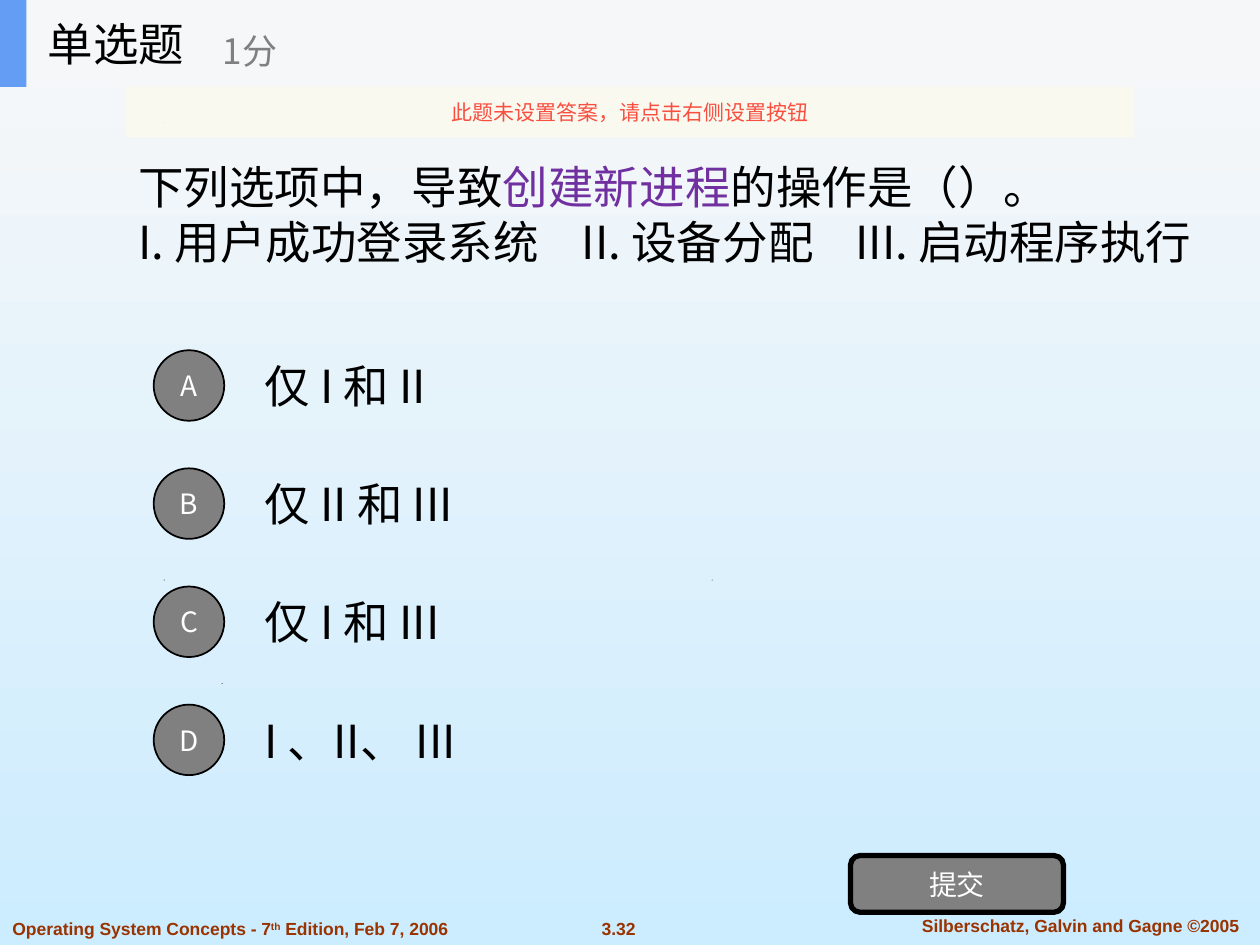
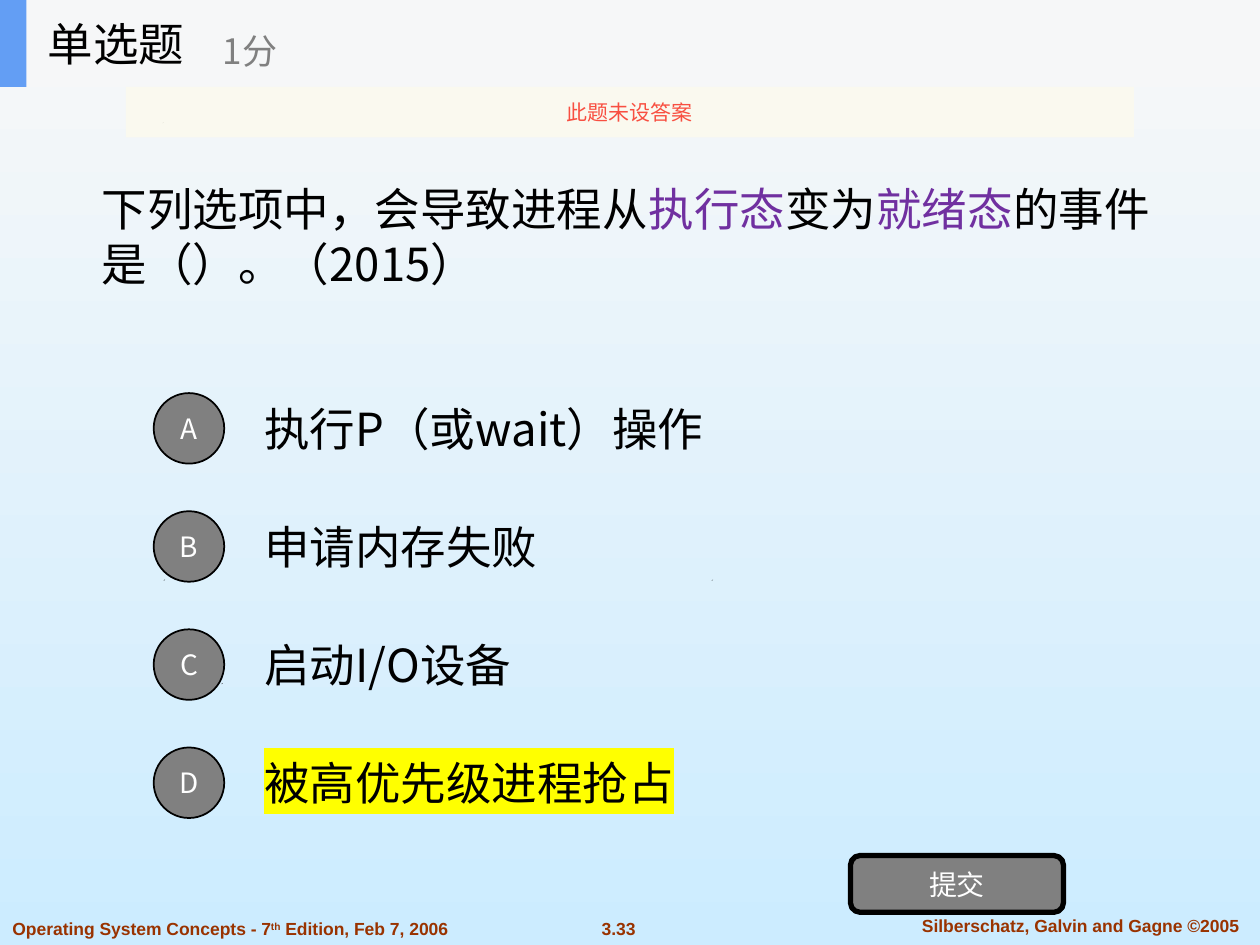
from lxml.etree import SubElement
from pptx import Presentation
from pptx.dml.color import RGBColor
from pptx.enum.shapes import MSO_SHAPE as Shape
from pptx.enum.text import MSO_ANCHOR as Anchor, PP_ALIGN as Align
from pptx.oxml.ns import qn
from pptx.util import Inches, Pt

COLORS = {
    "sky_top": "F8F8F8", "sky_bottom": "CCECFF", "band": "F6F7F8", "accent": "639EF4",
    "notice": "FBFAEF", "warning": "F84F41", "gray": "808080", "ink": "000000",
    "white": "FFFFFF", "key": "7030A0", "footer": "993300", "marker": "FFFF00",
}
CJK, LATIN = "Noto Sans CJK SC", "Arial"
WIDTH, HEIGHT = 10, 7.5
KEY = {"color": "key"}
SUPER = {"baseline": 30}

# A paragraph is a list of (text, format) runs.
QUESTIONS = [
    {
        "page": "3.32",
        "notice": "此题未设置答案，请点击右侧设置按钮",
        "prompt": [
            [("下列选项中，导致", {}), ("创建新进程", KEY), ("的操作是（）。", {})],
            [("I. 用户成功登录系统\tII. 设备分配\tIII. 启动程序执行", {})],
        ],
        "prompt_box": (1, 0.69, 8.58, 2.01),
        "prompt_tabs": (3.52, 5.69),
        "options": ["仅 I 和 II", "仅 II 和 III", "仅 I 和 III", "I 、II、 III"],
        "options_top": 2.71,
        "marked": None,
    },
    {
        "page": "3.33",
        "notice": "此题未设答案",
        "prompt": [
            [("下列选项中，会导致进程从", {}), ("执行态", KEY), ("变为", {}),
             ("就绪态", KEY), ("的事件是（）。（2015）", {})],
        ],
        "prompt_box": (0.71, 0.7, 8.84, 2.34),
        "prompt_tabs": (),
        "options": ["执行P（或wait）操作", "申请内存失败", "启动I/O设备", "被高优先级进程抢占"],
        "options_top": 3.05,
        "marked": "D",
    },
]
EDITION = [[("Operating System Concepts - 7", {}), ("th", SUPER),
            (" Edition, Feb 7, 2006", {})]]
AUTHORS = "Silberschatz, Galvin and Gagne ©2005"
SPECKS = [(1.76, 5.42), (1.3, 4.6), (5.65, 4.6), (1.29, 0.97)]
SPECK_SIZE = 0.01

BAND_HEIGHT = 0.69
OPTION_LEFT, OPTION_WIDTH, OPTION_HEIGHT, OPTION_PITCH = 2, 7, 0.7, HEIGHT / 8
BADGE_LEFT, BADGE_SIZE = 1.22, 0.56
FOOTER = {"font": LATIN, "size": 10, "color": "footer", "bold": True, "anchor": Anchor.TOP}


def rgb(name):
    return RGBColor.from_string(COLORS[name])


def add_run(paragraph, text, font, size, color, bold=False, baseline=0, highlight=None):
    run = paragraph.add_run()
    run.text = text
    run.font.name, run.font.size, run.font.bold = font, Pt(size), bold
    run.font.color.rgb = rgb(color)
    props = run.font._element
    SubElement(props, qn("a:ea")).set("typeface", font)
    if baseline:
        props.set("baseline", str(baseline * 1000))
    if highlight:
        mark = SubElement(props, qn("a:highlight"))
        SubElement(mark, qn("a:srgbClr")).set("val", COLORS[highlight])
        props.find(qn("a:solidFill")).addnext(mark)


def write(shape, content, align=Align.LEFT, anchor=Anchor.MIDDLE, wrap=True, tabs=(),
          font=CJK, size=26, color="ink", **style):
    """Fill a shape with a string, or with paragraphs made of (text, format) runs."""
    frame = shape.text_frame
    frame.word_wrap, frame.vertical_anchor = wrap, anchor
    paragraphs = [[(content, {})]] if isinstance(content, str) else content
    for index, runs in enumerate(paragraphs):
        paragraph = frame.add_paragraph() if index else frame.paragraphs[0]
        paragraph.alignment = align
        if tabs:
            stops = SubElement(paragraph._p.get_or_add_pPr(), qn("a:tabLst"))
            for position in tabs:
                stop = SubElement(stops, qn("a:tab"))
                stop.set("pos", str(Inches(position)))
                stop.set("algn", "l")
        for text, changes in runs:
            add_run(paragraph, text, **{"font": font, "size": size, "color": color,
                                        **style, **changes})


def add_text(slide, box, content, **style):
    write(slide.shapes.add_textbox(*map(Inches, box)), content, **style)


def paint(shape, fill, line_width=0):
    shape.shadow.inherit = False
    shape.fill.solid()
    shape.fill.fore_color.rgb = rgb(fill)
    if line_width:
        shape.line.color.rgb = rgb("ink")
        shape.line.width = Pt(line_width)
    else:
        shape.line.fill.background()


def add_block(slide, kind, box, fill, line_width=0):
    block = slide.shapes.add_shape(kind, *map(Inches, box))
    paint(block, fill, line_width)
    return block


def add_button(slide, kind, box, label, line_width):
    button = add_block(slide, kind, box, "gray", line_width)
    write(button, label, align=Align.CENTER, size=16, color="white")
    frame = button.text_frame
    frame.margin_left = frame.margin_right = 0


def add_background(slide):
    fill = slide.background.fill
    fill.gradient()
    fill.gradient_angle = 270
    for stop, position, name in zip(fill.gradient_stops, (0, 1), ("sky_top", "sky_bottom")):
        stop.position = position
        stop.color.rgb = rgb(name)


def add_specks(slide):
    for speck in SPECKS:
        left, top = map(Inches, speck)
        right, bottom = left + Inches(SPECK_SIZE), top + Inches(SPECK_SIZE)
        outline = slide.shapes.build_freeform(left, bottom)
        outline.add_line_segments([(right, top), (left, (top + bottom) // 2)], close=True)
        paint(outline.convert_to_shape(), "ink")


def add_footer(slide, page):
    add_text(slide, (4.59, 7.24, 0.64, 0.27), page, align=Align.CENTER, wrap=False, **FOOTER)
    add_text(slide, (7.09, 7.21, 2.97, 0.27), AUTHORS, align=Align.CENTER, **FOOTER)
    add_text(slide, (0, 7.24, 4.09, 0.27), EDITION, wrap=False, **FOOTER)


def add_options(slide, options, top, marked):
    for row, (letter, option) in enumerate(zip("ABCD", options)):
        y = top + row * OPTION_PITCH
        add_text(slide, (OPTION_LEFT, y, OPTION_WIDTH, OPTION_HEIGHT), option,
                 highlight="marker" if letter == marked else None)
        badge_top = y + (OPTION_HEIGHT - BADGE_SIZE) / 2
        add_button(slide, Shape.OVAL, (BADGE_LEFT, badge_top, BADGE_SIZE, BADGE_SIZE),
                   letter, line_width=1)


def add_header(slide, notice):
    add_block(slide, Shape.RECTANGLE, (0, 0, WIDTH, BAND_HEIGHT), "band")
    add_block(slide, Shape.RECTANGLE, (0, 0, 0.21, BAND_HEIGHT), "accent")
    add_text(slide, (0.28, 0, 2.08, BAND_HEIGHT), "单选题", wrap=False)
    add_text(slide, (1.67, 0.12, 2.5, 0.56), "1分", wrap=False, size=20, color="gray")
    strip = add_block(slide, Shape.RECTANGLE, (1, BAND_HEIGHT, 8, 0.4), "notice")
    tint = strip._element.spPr.find(qn("a:solidFill"))[0]
    SubElement(tint, qn("a:alpha")).set("val", "90000")
    write(strip, notice, align=Align.CENTER, wrap=False, size=12, color="warning")


def add_question(deck, question):
    slide = deck.slides.add_slide(deck.slide_layouts[6])
    add_background(slide)
    add_specks(slide)
    add_footer(slide, question["page"])
    add_text(slide, question["prompt_box"], question["prompt"], tabs=question["prompt_tabs"])
    add_options(slide, question["options"], question["options_top"], question["marked"])
    add_button(slide, Shape.ROUNDED_RECTANGLE, (6.75, 6.79, 1.69, 0.45), "提交", line_width=3)
    add_header(slide, question["notice"])


def main():
    deck = Presentation()
    deck.slide_width, deck.slide_height = Inches(WIDTH), Inches(HEIGHT)
    for question in QUESTIONS:
        add_question(deck, question)
    deck.save("out.pptx")


if __name__ == "__main__":
    main()
